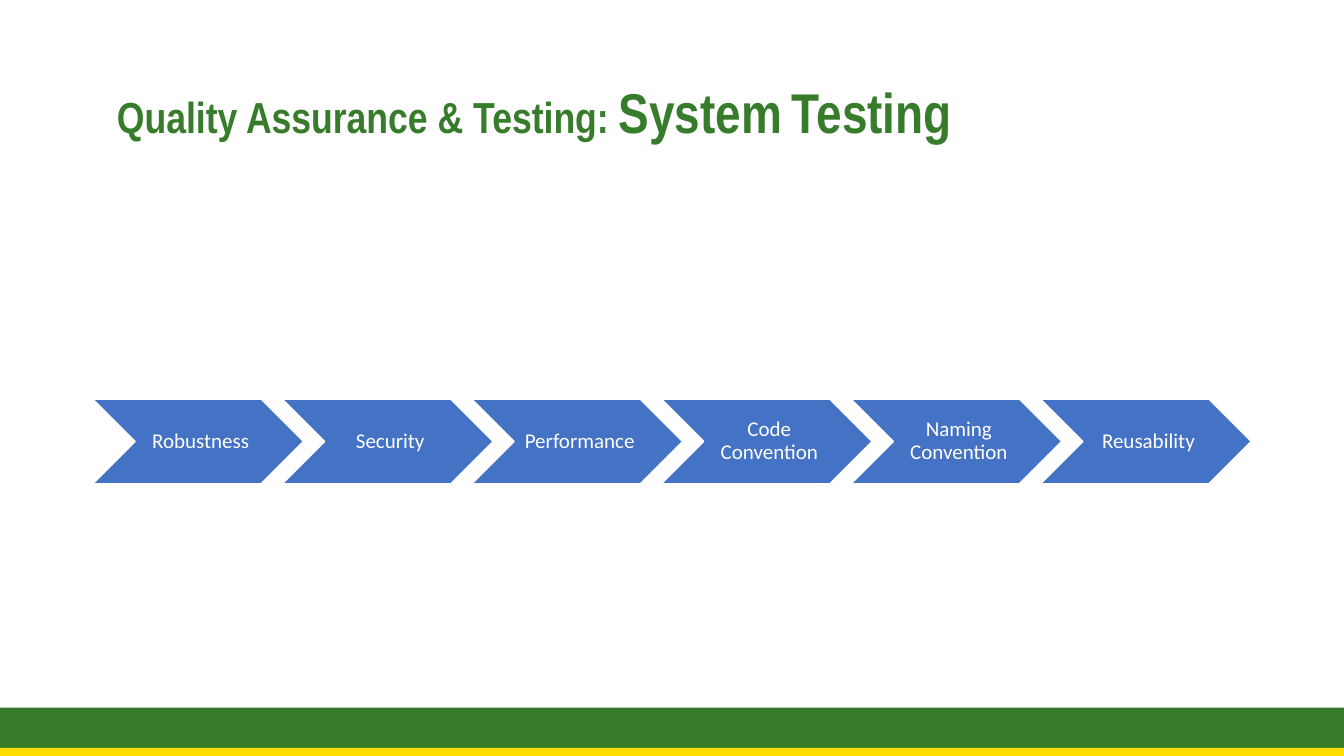
from pptx import Presentation
from pptx.dml.color import RGBColor
from pptx.enum.shapes import MSO_SHAPE
from pptx.enum.text import MSO_ANCHOR, MSO_AUTO_SIZE, PP_ALIGN
from pptx.util import Inches, Pt

COLORS = {
    "green": "367C2B",
    "yellow": "FFDE00",
    "blue": "4472C4",
    "white": "FFFFFF",
}
TITLE_RUNS = [
    (" ", 44),
    ("Quality Assurance & Testing: ", 31),
    ("System", 40),
    (" ", 31),
    ("Testing", 40),
]
QUALITIES = ["Robustness", "Security", "Performance",
             "Code Convention", "Naming Convention", "Reusability"]
CHEVRON_LEFT, CHEVRON_STEP = 0.92, 1.88


def color(name):
    return RGBColor.from_string(COLORS[name])


def format_run(r, font, size, color_name, bold=False):
    r.font.name = font
    r.font.size = Pt(size)
    r.font.bold = bold
    r.font.color.rgb = color(color_name)


def add_filled_shape(slide, kind, left, top, width, height, fill):
    sp = slide.shapes.add_shape(kind, Inches(left), Inches(top),
                                Inches(width), Inches(height))
    sp.shadow.inherit = False
    sp.fill.solid()
    sp.fill.fore_color.rgb = color(fill)
    sp.line.fill.background()
    return sp


def set_title(slide):
    title = slide.shapes.title
    title.left, title.top = Inches(0.92), Inches(0.4)
    title.width, title.height = Inches(11.5), Inches(1.45)
    tf = title.text_frame
    tf.auto_size = MSO_AUTO_SIZE.NONE
    tf.vertical_anchor = MSO_ANCHOR.MIDDLE
    p = tf.paragraphs[0]
    p.alignment = PP_ALIGN.LEFT
    p.line_spacing = 0.9
    for text, size in TITLE_RUNS:
        r = p.add_run()
        r.text = text
        format_run(r, "Arial Narrow", size, "green", bold=True)


def add_chevron(slide, left, label):
    sp = add_filled_shape(slide, MSO_SHAPE.CHEVRON, left, 3.96, 2.09, 0.84, "blue")
    sp.line.color.rgb = color("white")
    sp.line.width = Pt(1)
    tf = sp.text_frame
    tf.text = label
    tf.word_wrap = True
    tf.vertical_anchor = MSO_ANCHOR.MIDDLE
    tf.margin_left = Inches(0.07)
    tf.margin_top = tf.margin_right = tf.margin_bottom = Inches(0.02)
    p = tf.paragraphs[0]
    p.alignment = PP_ALIGN.CENTER
    p.line_spacing = 0.9
    format_run(p.runs[0], "Calibri", 15, "white")


def main():
    prs = Presentation()
    prs.slide_width, prs.slide_height = Inches(13.33), Inches(7.5)
    title_only = prs.slide_layouts[5]
    slide = prs.slides.add_slide(title_only)
    set_title(slide)
    for i, label in enumerate(QUALITIES):
        add_chevron(slide, CHEVRON_LEFT + i * CHEVRON_STEP, label)
    add_filled_shape(slide, MSO_SHAPE.RECTANGLE, 0, 7.02, 13.33, 0.4, "green")
    add_filled_shape(slide, MSO_SHAPE.RECTANGLE, 0, 7.42, 13.33, 0.08, "yellow")
    prs.save("out.pptx")


if __name__ == "__main__":
    main()
